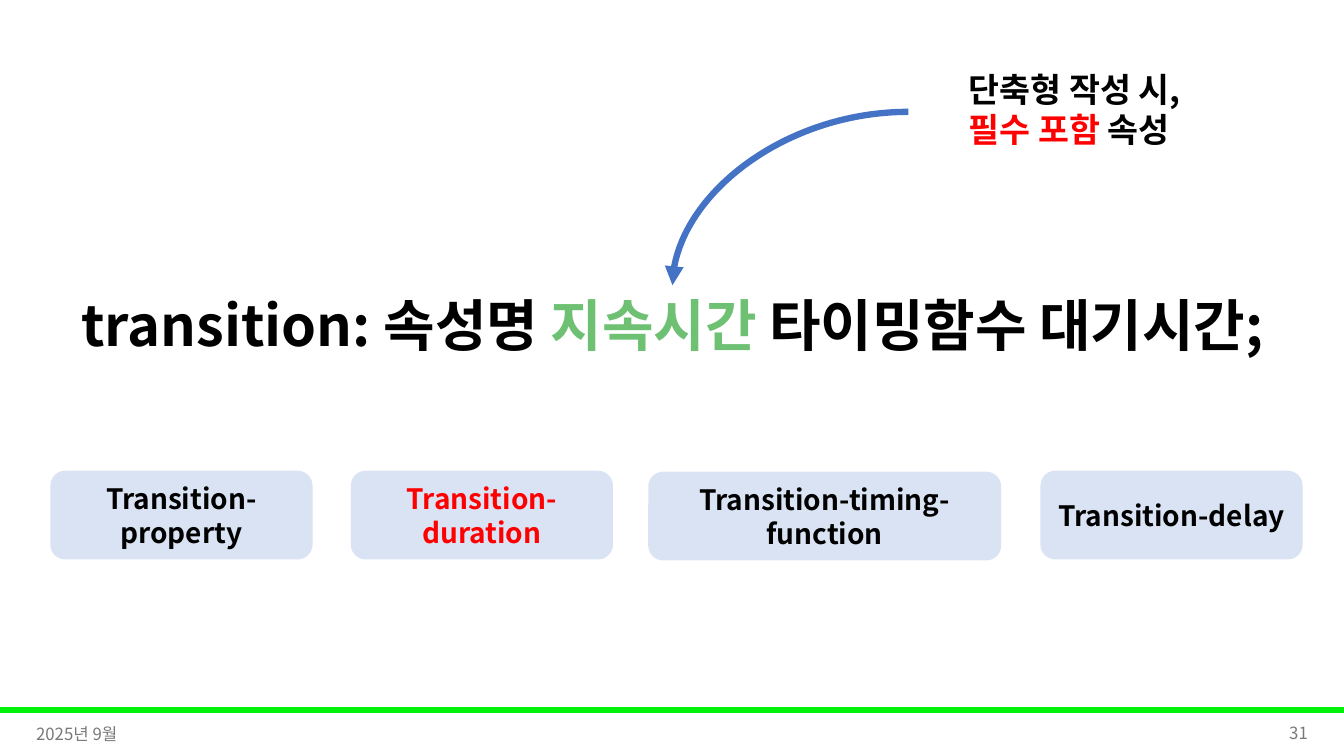
import pptx
import pptx.dml.color
import pptx.enum.shapes
import pptx.enum.text
import pptx.oxml
import pptx.oxml.ns
import pptx.util
from pptx.util import Inches

FONT = "Noto Sans CJK KR"
COLORS = {
    "black": "000000",
    "red": "FF0000",
    "green": "6EC173",
    "gray": "797979",
    "box": "DAE3F3",
    "arrow": "4472C4",
    "footer": "00F209",
}
ALIGN = pptx.enum.text.PP_ALIGN
ANCHOR = pptx.enum.text.MSO_ANCHOR
SHAPES = pptx.enum.shapes.MSO_SHAPE


def rgb(name):
    return pptx.dml.color.RGBColor.from_string(COLORS[name])


def write_text(frame, paragraphs, size=20, bold=True, align=ALIGN.LEFT,
               anchor=ANCHOR.MIDDLE):
    """Each paragraph is a list of (text, color name) pairs."""
    frame.word_wrap = True
    frame.vertical_anchor = anchor
    for index, pieces in enumerate(paragraphs):
        paragraph = frame.add_paragraph() if index else frame.paragraphs[0]
        paragraph.alignment = align
        for text, color in pieces:
            run = paragraph.add_run()
            run.text = text
            run.font.name = FONT
            run.font.size = pptx.util.Pt(size)
            run.font.bold = bold
            run.font.color.rgb = rgb(color)
            east_asian = pptx.oxml.parse_xml(
                f'<a:ea {pptx.oxml.ns.nsdecls("a")} typeface="{FONT}"/>')
            run.font._element.find(pptx.oxml.ns.qn("a:latin")).addnext(east_asian)


def add_label(slide, left, top, width, height, paragraphs, grow=False, **text_format):
    label = slide.shapes.add_textbox(
        Inches(left), Inches(top), Inches(width), Inches(height))
    write_text(label.text_frame, paragraphs, **text_format)
    if grow:
        label.text_frame.auto_size = pptx.enum.text.MSO_AUTO_SIZE.SHAPE_TO_FIT_TEXT


def add_block(slide, kind, left, top, width, height, fill):
    block = slide.shapes.add_shape(
        kind, Inches(left), Inches(top), Inches(width), Inches(height))
    block.shadow.inherit = False
    block.fill.solid()
    block.fill.fore_color.rgb = rgb(fill)
    block.line.fill.background()
    return block


def add_curved_arrow(slide, begin, end):
    """Quarter curve that leaves begin upwards; the arrowhead sits at begin."""
    # The frame is turned by 90 degrees, so its half sides are swapped.
    middle_x, middle_y = (begin[0] + end[0]) / 2, (begin[1] + end[1]) / 2
    half_width, half_height = (begin[1] - end[1]) / 2, (end[0] - begin[0]) / 2
    arrow = slide.shapes.add_connector(
        pptx.enum.shapes.MSO_CONNECTOR.CURVE,
        Inches(middle_x + half_width), Inches(middle_y + half_height),
        Inches(middle_x - half_width), Inches(middle_y - half_height))
    arrow.line.color.rgb = rgb("arrow")
    arrow.line.width = pptx.util.Pt(4.5)
    properties = arrow._element.spPr
    properties.find(pptx.oxml.ns.qn("a:xfrm")).set("rot", str(90 * 60000))
    properties.find(pptx.oxml.ns.qn("a:prstGeom")).set("prst", "curvedConnector2")
    namespace = pptx.oxml.ns.nsdecls("a")
    arrow.line._get_or_add_ln().append(
        pptx.oxml.parse_xml(f'<a:headEnd {namespace} type="triangle"/>'))
    properties.append(pptx.oxml.parse_xml(f"<a:effectLst {namespace}/>"))


def main():
    deck = pptx.Presentation()
    deck.slide_width, deck.slide_height = Inches(13.33), Inches(7.5)
    slide = deck.slides.add_slide(deck.slide_layouts[6])

    # Footer
    footer_rule = add_block(slide, SHAPES.RECTANGLE, 0, 7.02, 13.33, 0.05, "footer")
    footer_rule.line.color.rgb = rgb("footer")
    footer_rule.line.width = pptx.util.Pt(1)
    add_label(slide, 0.26, 7.08, 3, 0.4, [[("2025년 9월", "gray")]],
              size=12, bold=False)
    add_label(slide, 10.07, 7.07, 3, 0.4, [[("31", "gray")]],
              size=12, bold=False, align=ALIGN.RIGHT)

    # Shorthand syntax
    syntax = [("transition: 속성명 ", "black"), ("지속시간", "green"),
              (" 타이밍함수 대기시간;", "black")]
    add_label(slide, 0.62, 2.83, 12.1, 0.77, [syntax], grow=True,
              size=40, align=ALIGN.CENTER, anchor=ANCHOR.TOP)

    # Property names
    for name, left, top, width, color in (
        ("Transition-property", 0.5, 4.67, 2.6, "black"),
        ("Transition-duration", 3.48, 4.67, 2.6, "red"),
        ("Transition-timing-function", 6.43, 4.68, 3.5, "black"),
        ("Transition-delay", 10.32, 4.67, 2.6, "black"),
    ):
        property_box = add_block(
            slide, SHAPES.ROUNDED_RECTANGLE, left, top, width, 0.88, "box")
        write_text(property_box.text_frame, [[(name, color)]], align=ALIGN.CENTER)

    # Note on the required property
    add_curved_arrow(slide, (6.67, 2.83), (9.01, 1.11))
    note = [[("단축형 작성 시,", "black")],
            [("필수 포함", "red"), (" 속성", "black")]]
    add_label(slide, 9.51, 0.63, 2.77, 0.91, note, grow=True,
              size=24, anchor=ANCHOR.TOP)

    deck.save("out.pptx")


if __name__ == "__main__":
    main()
